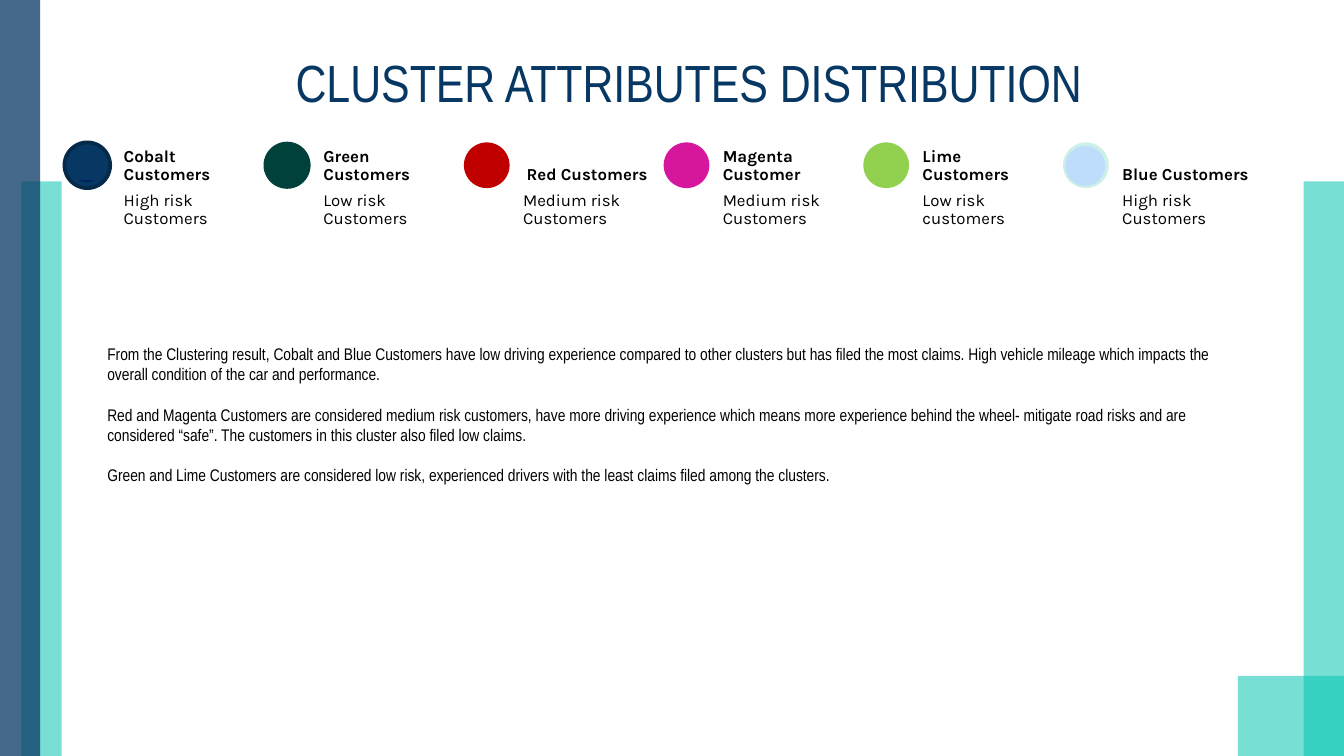
import pptx
import pptx.dml.color
import pptx.enum.shapes
import pptx.enum.text
import pptx.oxml
import pptx.oxml.ns
import pptx.util
from pptx.util import Inches

COLORS = {
    "navy": "073763", "navy_edge": "052949", "ink": "002060", "teal": "00C3B1",
    "green": "00413B", "red": "C00000", "magenta": "D6179E", "lime": "92D050",
    "mint": "CCF0E8", "blue": "BEDDFA", "black": "000000",
}
SHAPE = pptx.enum.shapes.MSO_SHAPE
ANCHOR = pptx.enum.text.MSO_ANCHOR
ALIGN = pptx.enum.text.PP_ALIGN
WIDTH = 10
HEIGHT = WIDTH * 9 / 16


def add_shape(kind, box, fill, line=None, width=2, alpha=None):
    """Add a filled preset shape; alpha is opacity in percent."""
    sp = s.shapes.add_shape(kind, *map(Inches, box))
    sp.shadow.inherit = False
    sp.fill.solid()
    sp.fill.fore_color.rgb = pptx.dml.color.RGBColor.from_string(COLORS[fill])
    if alpha:
        clr = sp.element.spPr.find(".//" + pptx.oxml.ns.qn("a:srgbClr"))
        clr.append(pptx.oxml.parse_xml(
            f'<a:alpha {pptx.oxml.ns.nsdecls("a")} val="{alpha * 1000}"/>'))
    if line:
        sp.line.color.rgb = pptx.dml.color.RGBColor.from_string(COLORS[line])
        sp.line.width = pptx.util.Pt(width)
    else:
        sp.line.fill.background()
    return sp


def add_text(paragraphs, box, size=9, font="Karla", color="black", bold=False,
             align=ALIGN.LEFT, anchor=ANCHOR.TOP, insets=(0.03, 0.03),
             spacing=None, after=0):
    tf = s.shapes.add_textbox(*map(Inches, box)).text_frame
    tf.word_wrap = True
    tf.vertical_anchor = anchor
    tf.margin_left = tf.margin_right = Inches(insets[0])
    tf.margin_top = tf.margin_bottom = Inches(insets[1])
    for i, text in enumerate(paragraphs):
        p = tf.paragraphs[0] if i == 0 else tf.add_paragraph()
        p.alignment = align
        p.space_after = pptx.util.Pt(after)
        if spacing:
            p.line_spacing = spacing
        r = p.add_run()
        r.text = text
        r.font.size = pptx.util.Pt(size)
        r.font.name = font
        r.font.bold = bold
        r.font.color.rgb = pptx.dml.color.RGBColor.from_string(COLORS[color])


prs = pptx.Presentation()
prs.slide_width, prs.slide_height = Inches(WIDTH), Inches(HEIGHT)
s = prs.slides.add_slide(prs.slide_layouts[6])

# Side bands, all reaching the bottom edge: left, top, width, fill, opacity
for left, band_top, width, fill, alpha in [
    (0.16, 1.35, 0.3, "teal", 53),
    (0, 0, 0.3, "navy", 75),
    (9.7, 1.35, 0.3, "teal", 53),
    (9.21, 5.03, 0.79, "teal", 53),
]:
    add_shape(SHAPE.RECTANGLE, (left, band_top, width, HEIGHT - band_top), fill,
              alpha=alpha)

add_text(["CLUSTER ATTRIBUTES DISTRIBUTION"], (0.91, 0.39, 8.43, 0.44), size=28,
         font="Arial Narrow", color="navy", align=ALIGN.CENTER,
         anchor=ANCHOR.MIDDLE, insets=(0.1, 0.1))

# Clusters: name, risk, disc fill, disc line, line width, chord fill, chord line,
# chord angles, name alignment
clusters = [
    ("Cobalt Customers", "High risk Customers", "navy", "navy_edge", 2,
     "ink", "navy", (25.09, 82.91), ALIGN.LEFT),
    ("Green Customers", "Low risk Customers", "green", "green", 0.75,
     "green", "green", (11.68, 96.32), ALIGN.LEFT),
    ("Red Customers", "Medium risk Customers", "red", None, 0,
     "red", "red", (0, 108), ALIGN.CENTER),
    ("Magenta Customer", "Medium risk Customers", "magenta", None, 0,
     "magenta", "magenta", (204.32, 119.68), ALIGN.LEFT),
    ("Lime Customers", "Low risk customers", "lime", None, 0,
     "lime", "lime", (190.91, 133.09), ALIGN.LEFT),
    ("Blue Customers", "High risk Customers", "mint", None, 0,
     "blue", "blue", (162, 162), ALIGN.LEFT),
]
first, last, top, disc = 0.48, 7.91, 1.06, 0.34
pitch = (last - first) / (len(clusters) - 1)
for i, (name, risk, fill, line, width, chord_fill, chord_line, angles,
        align) in enumerate(clusters):
    x = first + i * pitch
    add_shape(SHAPE.OVAL, (x, top, disc, disc), fill, line, width)
    chord = add_shape(SHAPE.CHORD, (x + 0.03, top + 0.04, 0.27, 0.27),
                      chord_fill, chord_line)
    chord.adjustments[0], chord.adjustments[1] = angles
    add_text([risk], (x + 0.41, top + disc, 1.01, 1.43), spacing=0.9)
    add_text([name], (x + 0.41, top, 1.01, disc), bold=True, align=align,
             anchor=ANCHOR.BOTTOM, spacing=0.9)

add_text([
    "From the Clustering result, Cobalt and Blue Customers have low driving "
    "experience compared to other clusters but has filed the most claims. High "
    "vehicle mileage which impacts the overall condition of the car and performance.",
    "Red and Magenta Customers are considered medium risk customers, have more "
    "driving experience which means more experience behind the wheel- mitigate road "
    "risks and are considered “safe”. The customers in this cluster also filed low claims.",
    "Green and Lime Customers are considered low risk, experienced drivers with the "
    "least claims filed among the clusters.",
], (0.7, 2.51, 8.52, 1.46), font="Arial Narrow", insets=(0.1, 0.05), after=10.8)

prs.save("out.pptx")
